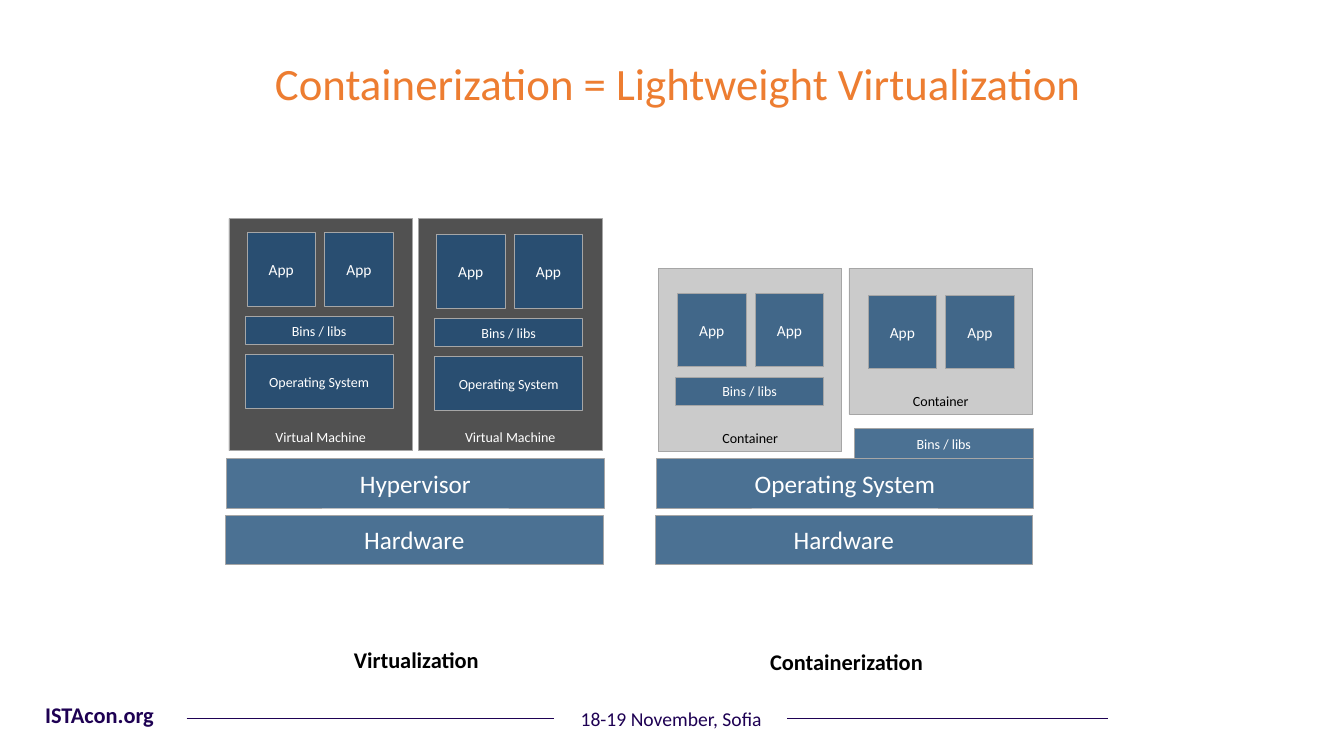
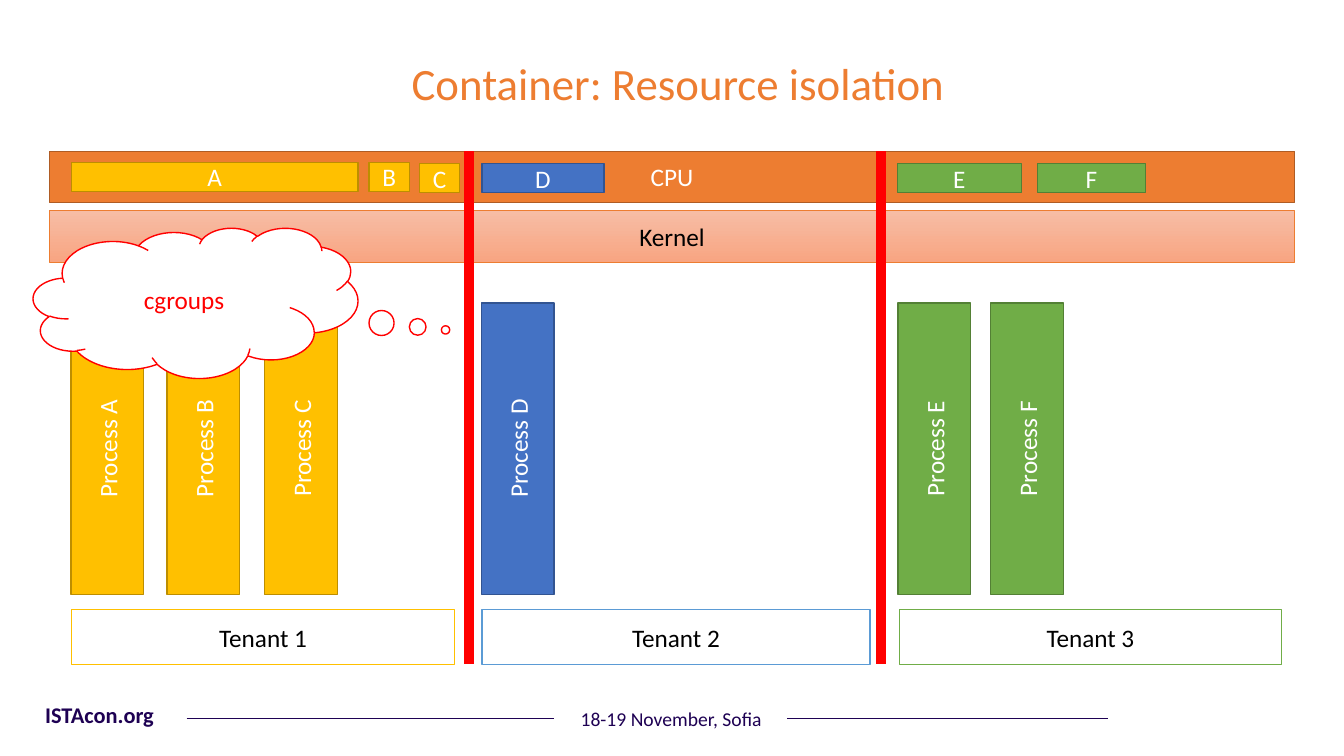
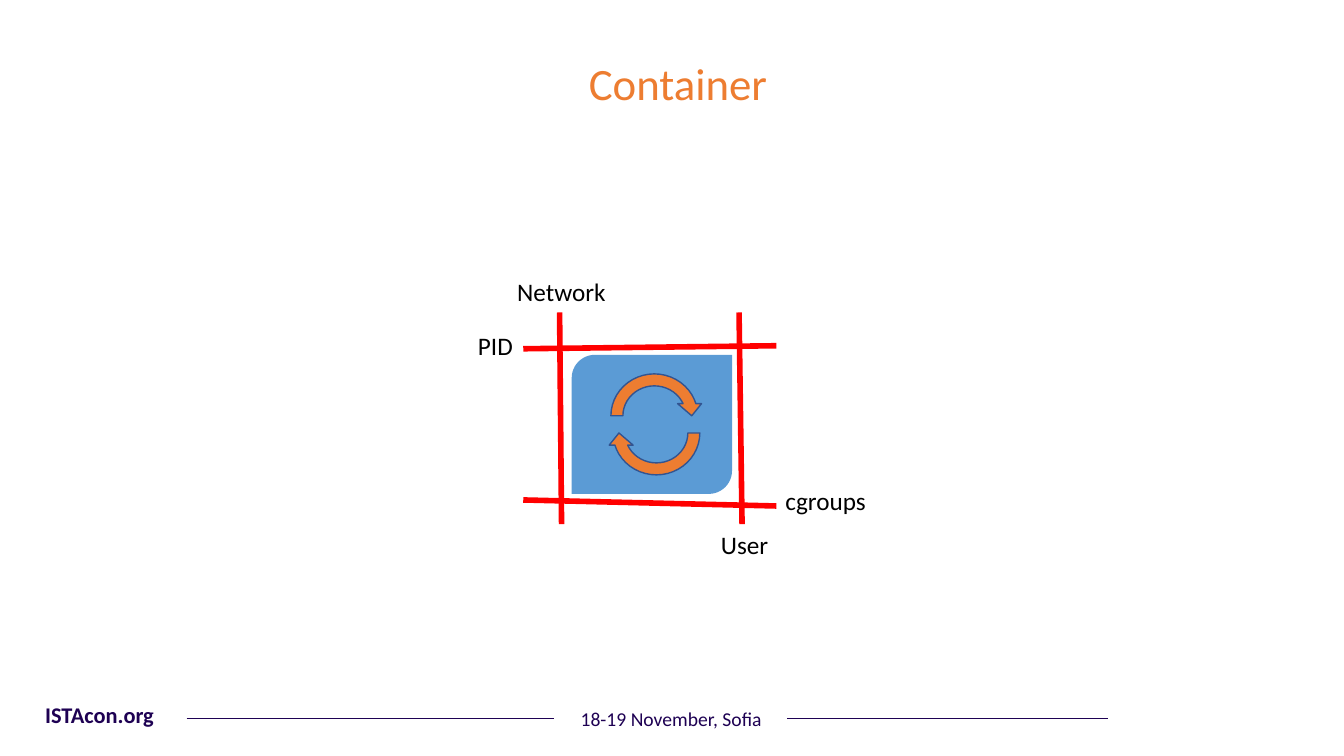
from lxml import etree
from pptx import Presentation
from pptx import util as u
from pptx.dml.color import RGBColor
from pptx.enum import shapes, text
from pptx.oxml.ns import qn

PX = 9144  # EMU in one px, 100 px to the inch
FONT = "Calibri"
COLORS = {
    "title": "ED7D31", "footer": "1E0153", "black": "000000", "white": "FFFFFF",
    "navy": "1F4E79", "charcoal": "262626", "silver": "BFBFBF", "edge": "A6A6A6",
    "yellow": "FFC000", "yellow_edge": "BD8E00", "blue": "4472C4", "blue_edge": "325491",
    "green": "70AD47", "green_edge": "538035", "orange": "ED7D31", "orange_edge": "AF5C24",
    "sky": "5B9BD5", "red": "FF0000", "peach_light": "F7BDA5", "peach_dark": "F8A582",
}
RECT = shapes.MSO_SHAPE.RECTANGLE
LEFT, CENTER = text.PP_ALIGN.LEFT, text.PP_ALIGN.CENTER
MIDDLE, BOTTOM = text.MSO_ANCHOR.MIDDLE, text.MSO_ANCHOR.BOTTOM


def px(*lengths):
    return [round(length * PX) for length in lengths]


def rgb(name):
    return RGBColor.from_string(COLORS[name])


class Deck:
    """The presentation, its shared style and the slide being filled."""

    def __init__(self):
        self.presentation = Presentation()
        self.presentation.slide_width, self.presentation.slide_height = px(1333, 750)
        self.slide = None

    def new_slide(self, title):
        blank = self.presentation.slide_layouts[6]
        self.slide = self.presentation.slides.add_slide(blank)
        self.label(title, 162, 50, 1021, 64, size=32, color="title", align=CENTER)
        self.label("ISTAcon.org", 35, 694, 178, 40, size=16, color="footer", bold=True, spacing=0.9)
        self.label("18-19 November, Sofia", 566, 699, 201, 35, size=14, color="footer", spacing=0.9)
        for start, end in ((185, 549), (781, 1099)):
            self.line(start, 713, end, 713, "footer", 0.5)

    def set_text(self, shape, words, size, color, align, bold=False, spacing=None):
        paragraph = shape.text_frame.paragraphs[0]
        paragraph.text = words
        paragraph.alignment = align
        paragraph.line_spacing = spacing
        font_values = {"name": FONT, "size": u.Pt(size), "bold": bold}
        for name, value in font_values.items():
            setattr(paragraph.font, name, value)
        paragraph.font.color.rgb = rgb(color)

    def label(self, words, left, top, width, height, size=18, color="black", align=LEFT,
              bold=False, spacing=None, wrap=True, inset=(10, 5)):
        shape = self.slide.shapes.add_textbox(*px(left, top, width, height))
        self.set_frame(shape, inset, word_wrap=wrap)
        self.set_text(shape, words, size, color, align, bold, spacing)

    def set_frame(self, shape, inset, **values):
        across, down = px(*inset)
        values.update(margin_left=across, margin_right=across, margin_top=down, margin_bottom=down)
        for name, value in values.items():
            setattr(shape.text_frame, name, value)

    def box(self, words, left, top, width, height, fill, edge=None, size=18, color="white",
            kind=RECT, weight=1, anchor=MIDDLE, inset=(10, 8), rotation=0, opacity=None):
        shape = self.slide.shapes.add_shape(kind, *px(left, top, width, height))
        shape.shadow.inherit = False
        shape.rotation = rotation
        shape.fill.solid()
        shape.fill.fore_color.rgb = rgb(fill)
        if opacity:
            fill_color = shape._element.spPr.find(qn("a:solidFill")).find(qn("a:srgbClr"))
            etree.SubElement(fill_color, qn("a:alpha"), val=str(opacity * 1000))
        if edge:
            shape.line.color.rgb = rgb(edge)
            shape.line.width = u.Pt(weight)
        else:
            shape.line.fill.background()
        if words:
            self.set_frame(shape, inset, word_wrap=True, vertical_anchor=anchor)
            self.set_text(shape, words, size, color, CENTER)
        return shape

    def layer(self, words, left, top, width, height, size=10, fill="navy", **style):
        """A see-through block of the virtualization stacks."""
        self.box(words, left, top, width, height, fill, "edge", size,
                 weight=0.5, inset=(10, 5), opacity=80, **style)

    def apps(self, left, top):
        for column in range(2):
            self.layer("App", left + 77 * column, top, 68, 73, size=11)

    def line(self, x1, y1, x2, y2, color, weight):
        connector = self.slide.shapes.add_connector(
            shapes.MSO_CONNECTOR.STRAIGHT, *px(x1, y1, x2, y2))
        connector.line.color.rgb = rgb(color)
        connector.line.width = u.Pt(weight)
        etree.SubElement(connector._element.spPr, qn("a:effectLst"))


def build_virtualization(deck):
    deck.new_slide("Containerization = Lightweight Virtualization")
    for left, platform in ((224, "Hypervisor"), (650, "Operating System")):
        deck.layer("Hardware", left, 511, 374, 49, size=18)
        deck.layer(platform, left + 1, 455, 374, 49, size=18)

    for left, app_top in ((227, 231), (415, 233)):
        deck.layer("Virtual Machine", left, 217, 182, 230, fill="charcoal", anchor=BOTTOM)
        deck.layer("Operating System", left + 16, app_top + 121, 147, 53)
        deck.layer("Bins / libs", left + 16, app_top + 83, 147, 28)
        deck.apps(left + 18, app_top)

    for left, height, app_top in ((653, 182, 291), (842, 145, 293)):
        deck.layer("Container", left, 266, 182, height, fill="silver", color="black", anchor=BOTTOM)
        deck.apps(left + 19, app_top)
    deck.layer("Bins / libs", 670, 374, 147, 28)
    deck.layer("Bins / libs", 847, 425, 178, 30)

    for words, left, top, width in (("Virtualization", 339, 636, 148),
                                    ("Containerization", 752, 638, 175)):
        deck.label(words, left, top, width, 37, size=16, align=CENTER, bold=True, wrap=False)


def build_resource_isolation(deck):
    deck.new_slide("Container: Resource isolation")
    tenants = (("Tenant 1", 71, 380, "yellow"), ("Tenant 2", 478, 385, "sky"),
               ("Tenant 3", 892, 379, "green"))
    for words, left, width, edge in tenants:
        deck.box(words, left, 605, width, 54, "white", edge, color="black")

    deck.box("CPU", 49, 150, 1235, 51, "orange", "orange_edge")
    kernel = deck.box("Kernel", 49, 209, 1235, 51, "orange", "orange", color="black", weight=0.5)
    kernel.fill.gradient()
    kernel.fill.gradient_angle = 270
    for stop, color in zip(kernel.fill.gradient_stops, ("peach_light", "peach_dark")):
        stop.color.rgb = rgb(color)

    # name, column centre, then left, top and width of the CPU share
    processes = (("A", 106.5, 71, 161, 284, "yellow"), ("B", 201.5, 366, 161, 40, "yellow"),
                 ("C", 298.5, 416, 162, 40, "yellow"), ("D", 513.5, 478, 162, 121, "blue"),
                 ("E", 926.5, 890, 162, 123, "green"), ("F", 1018.5, 1029, 162, 107, "green"))
    length, thickness = 289, 72
    for name, centre, left, top, width, color in processes:
        edge = color + "_edge"
        deck.box(f"Process {name}", centre - length / 2, 409, length, thickness,
                 color, edge, rotation=270)
        deck.box(name, left, top, width, 29, color, edge)

    for border in (465, 874):
        deck.line(border, 150, border, 659, "red", 7)
    cloud = deck.box("cgroups", 33, 226, 322, 149, "white", "red", color="red",
                     kind=shapes.MSO_SHAPE.CLOUD_CALLOUT)
    cloud.adjustments[0], cloud.adjustments[1] = 0.77, 0.18


def build_container(deck):
    deck.new_slide("Container")
    deck.box("", 567, 352, 159, 138, "sky", kind=shapes.MSO_SHAPE.ROUND_2_DIAG_RECTANGLE)
    for left, top, rotation in ((600, 365, 0), (602, 382, 180)):
        deck.box("", left, top, 98, 95, "orange", "blue_edge",
                 kind=shapes.MSO_SHAPE.CIRCULAR_ARROW, rotation=rotation)
    fences = ((555, 310, 557, 520), (733, 310, 736, 520),
              (519, 346, 770, 343), (519, 496, 770, 502))
    for fence in fences:
        deck.line(*fence, "red", 4)
    labels = (("Network", 513, 274, 89), ("User", 715, 525, 48),
              ("cgroups", 779, 481, 81), ("PID", 474, 328, 35))
    for words, left, top, width in labels:
        deck.label(words, left, top, width, 41, wrap=False, inset=(0, 0))


def main():
    deck = Deck()
    build_virtualization(deck)
    build_resource_isolation(deck)
    build_container(deck)
    deck.presentation.save("out.pptx")


if __name__ == "__main__":
    main()
